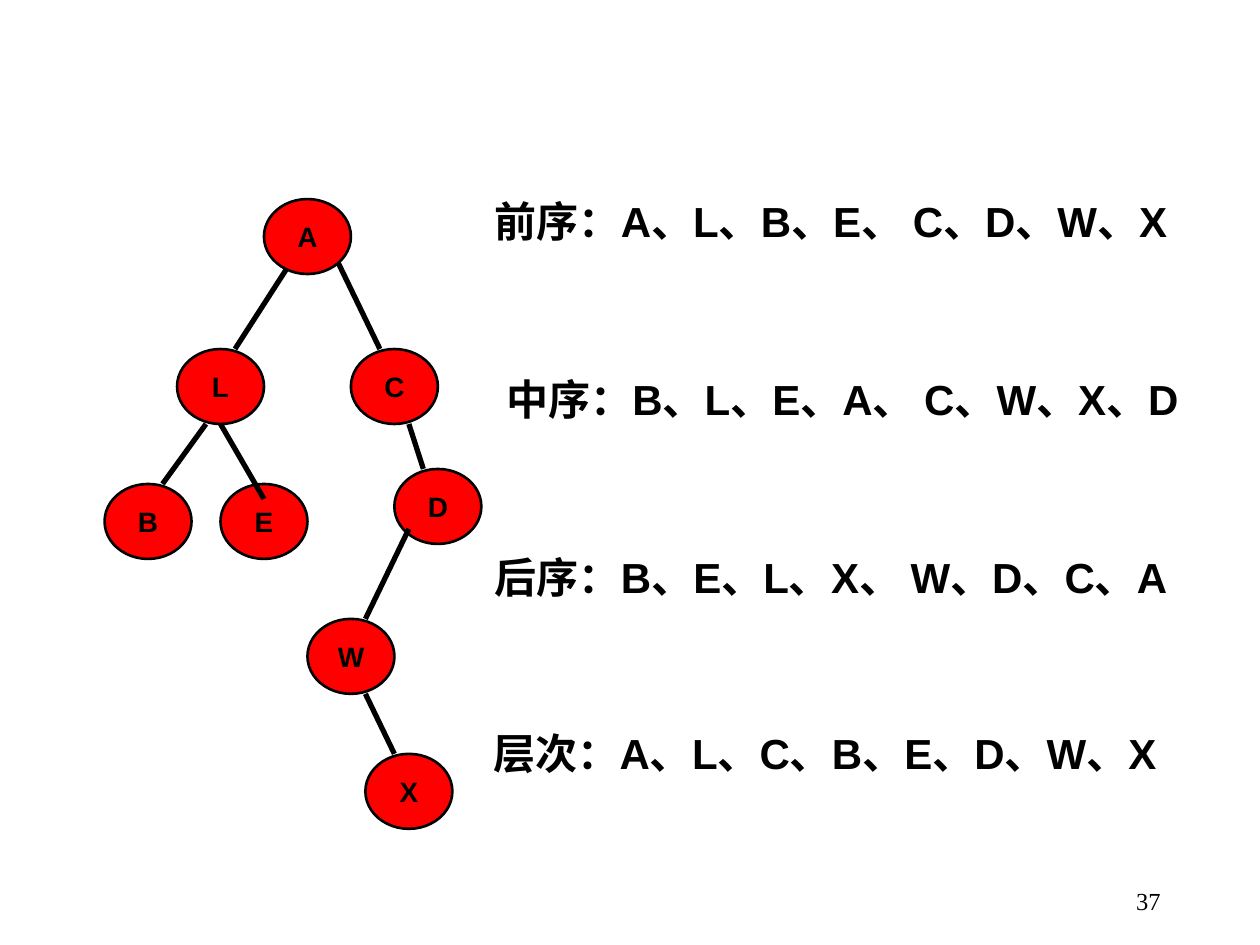
import pptx
import pptx.dml.color
import pptx.enum.shapes
import pptx.enum.text
import pptx.oxml.ns
import pptx.util
from dataclasses import dataclass
from lxml import etree

ALIGN = pptx.enum.text.PP_ALIGN
ANCHOR = pptx.enum.text.MSO_ANCHOR


@dataclass(frozen=True)
class Theme:
    ink: str = "000000"
    node: str = "FF0000"
    sans: str = "Arial"
    serif: str = "Times New Roman"
    body: int = 24
    label: int = 16
    page: int = 14
    rim: float = 1.5
    edge: float = 3


class Deck:
    WIDE, HIGH = 10, 7.5
    LEFT, TOP = 0.83, 1.58          # corner of the tree grid
    COL, ROW = 0.69 / 6, 0.595 / 5  # one grid step
    SPAN = (6, 5)                   # node size in grid steps

    def __init__(self, theme):
        self.theme = theme
        self.file = pptx.Presentation()
        self.file.slide_width = pptx.util.Inches(self.WIDE)
        self.file.slide_height = pptx.util.Inches(self.HIGH)
        self.slide = self.file.slides.add_slide(self.file.slide_layouts[6])

    def color(self, code):
        return pptx.dml.color.RGBColor.from_string(code)

    def spot(self, col, row):
        """Turn a point of the tree grid into slide lengths."""
        return (pptx.util.Inches(self.LEFT + col * self.COL),
                pptx.util.Inches(self.TOP + row * self.ROW))

    def label(self, frame, words, size, font, align, bold=True):
        para = frame.paragraphs[0]
        para.alignment = align
        run = para.add_run()
        run.text = words
        run.font.size = pptx.util.Pt(size)
        run.font.name = font
        run.font.bold = bold
        run.font.color.rgb = self.color(self.theme.ink)

    def text(self, words, x, y, w, h, size, font, align=ALIGN.LEFT,
             anchor=ANCHOR.TOP, bold=True):
        """Add a text box placed by shares of the slide's size."""
        wide, high = self.file.slide_width, self.file.slide_height
        box = self.slide.shapes.add_textbox(
            int(x * wide), int(y * high), int(w * wide), int(h * high))
        frame = box.text_frame
        frame.word_wrap = True
        frame.vertical_anchor = anchor
        self.label(frame, words, size, font, align, bold)

    def node(self, name, col, row):
        wide, high = self.SPAN
        oval = self.slide.shapes.add_shape(
            pptx.enum.shapes.MSO_SHAPE.OVAL, *self.spot(col, row),
            pptx.util.Inches(wide * self.COL), pptx.util.Inches(high * self.ROW))
        oval.shadow.inherit = False
        oval.fill.solid()
        oval.fill.fore_color.rgb = self.color(self.theme.node)
        oval.line.color.rgb = self.color(self.theme.ink)
        oval.line.width = pptx.util.Pt(self.theme.rim)
        frame = oval.text_frame
        frame.word_wrap = False
        frame.vertical_anchor = ANCHOR.MIDDLE
        self.label(frame, name, self.theme.label, self.theme.sans, ALIGN.CENTER)

    def edge(self, start, end):
        line = self.slide.shapes.add_connector(
            pptx.enum.shapes.MSO_CONNECTOR.STRAIGHT,
            *self.spot(*start), *self.spot(*end))
        line.line.color.rgb = self.color(self.theme.ink)
        line.line.width = pptx.util.Pt(self.theme.edge)
        props = line._element.spPr
        etree.SubElement(props, pptx.oxml.ns.qn("a:effectLst"))


ROOT = ("A", 11, 0)
NODES = [("L", 5, 10), ("C", 17, 10), ("B", 0, 19), ("E", 8, 19),
         ("D", 20, 18), ("W", 14, 28), ("X", 18, 37)]
EDGES = [((13, 4), (9, 10)), ((16, 4), (19, 10)), ((7, 15), (4, 19)),
         ((8, 15), (11, 20)), ((21, 15), (22, 18)), ((21, 22), (18, 28)),
         ((18, 33), (20, 37))]
ORDERS = [("前序：A、L、B、E、 C、D、W、X", 0.383, 0.2, 0.583),
          ("中序：B、L、E、A、 C、W、X、D", 0.392, 0.389, 0.592),
          ("后序：B、E、L、X、 W、D、C、A", 0.383, 0.577, 0.592),
          ("层次：A、L、C、B、E、D、W、X", 0.382, 0.763, 0.583)]


def main():
    theme = Theme()
    deck = Deck(theme)
    deck.text("37", 0.706, 0.927, 0.225, 0.053, theme.page, theme.serif,
              ALIGN.RIGHT, ANCHOR.MIDDLE, bold=False)
    for words, x, y, w in ORDERS:
        deck.text(words, x, y, w, 0.12, theme.body, theme.sans)
    for node in NODES:
        deck.node(*node)
    for edge in EDGES:
        deck.edge(*edge)
    deck.node(*ROOT)  # the root covers the ends of its edges
    deck.file.save("out.pptx")


if __name__ == "__main__":
    main()
